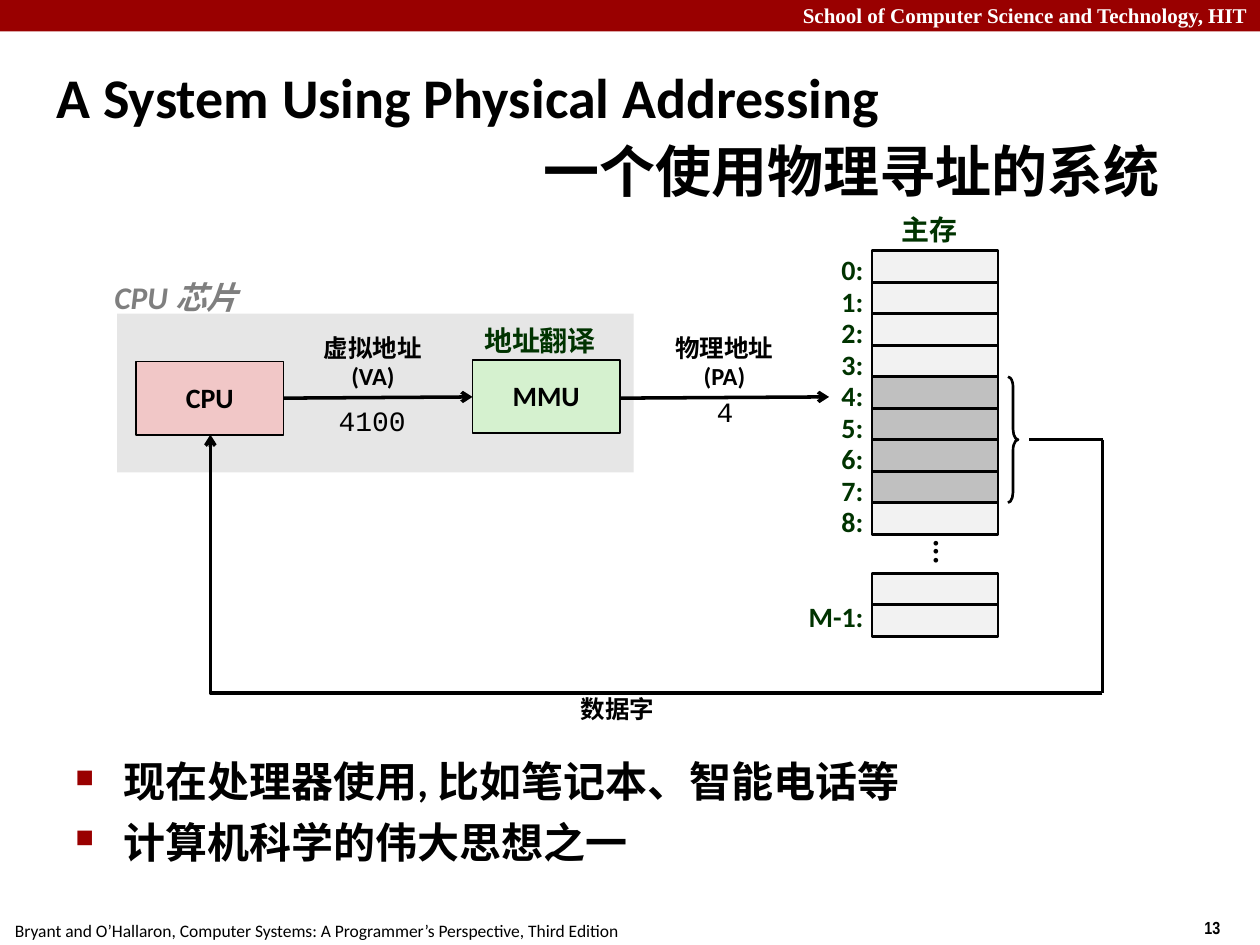
from dataclasses import dataclass

from lxml.etree import SubElement
from pptx import Presentation
from pptx.dml.color import RGBColor
from pptx.enum.shapes import MSO_CONNECTOR as CONN, MSO_SHAPE as SHAPE
from pptx.enum.text import MSO_ANCHOR as ANCHOR, MSO_AUTO_SIZE as FIT, PP_ALIGN as ALIGN
from pptx.oxml.ns import qn
from pptx.util import Inches, Pt

BLACK = RGBColor(0x00, 0x00, 0x00)
WHITE = RGBColor(0xFF, 0xFF, 0xFF)
RED = RGBColor(0x99, 0x00, 0x00)
DARK_GREEN = RGBColor(0x00, 0x33, 0x00)
GRAY = RGBColor(0x7F, 0x7F, 0x7F)
CHIP_GRAY = RGBColor(0xE6, 0xE6, 0xE6)
CELL_LIGHT = RGBColor(0xF2, 0xF2, 0xF2)
CELL_DARK = RGBColor(0xC0, 0xC0, 0xC0)
PINK = RGBColor(0xF1, 0xC7, 0xC7)
LIGHT_GREEN = RGBColor(0xD5, 0xF1, 0xCF)


@dataclass
class Label:
    text: str
    x: float
    y: float
    w: float
    h: float
    size: float = 16
    color: RGBColor = DARK_GREEN
    font: str = "Calibri"
    bold: bool = True
    italic: bool = False
    align: ALIGN = ALIGN.LEFT
    anchor: ANCHOR = ANCHOR.TOP
    spacing: float = 1.0
    wrap: bool = False


@dataclass
class Wire:
    x1: float
    y1: float
    x2: float
    y2: float
    arrow: bool = False
    bent: bool = False


def format_text(tf, lb: Label) -> None:
    tf.text = lb.text
    tf.word_wrap = lb.wrap
    tf.vertical_anchor = lb.anchor
    for p in tf.paragraphs:
        p.alignment = lb.align
        p.line_spacing = lb.spacing
        for r in p.runs:
            r.font.size = Pt(lb.size)
            r.font.name = lb.font
            r.font.bold = lb.bold
            r.font.italic = lb.italic
            r.font.color.rgb = lb.color


def add_label(slide, lb: Label):
    sp = slide.shapes.add_textbox(Inches(lb.x), Inches(lb.y), Inches(lb.w), Inches(lb.h))
    format_text(sp.text_frame, lb)
    if not lb.wrap:
        sp.text_frame.auto_size = FIT.SHAPE_TO_FIT_TEXT
    return sp


def add_box(slide, x: float, y: float, w: float, h: float, fill: RGBColor, line: float = 0):
    sp = slide.shapes.add_shape(SHAPE.RECTANGLE, Inches(x), Inches(y), Inches(w), Inches(h))
    sp.shadow.inherit = False
    sp.fill.solid()
    sp.fill.fore_color.rgb = fill
    if line:
        sp.line.color.rgb = BLACK
        sp.line.width = Pt(line)
    else:
        sp.line.fill.background()
    return sp


def add_unit(slide, name: str, x: float, y: float, fill: RGBColor) -> None:
    sp = add_box(slide, x, y, 1.17, 0.58, fill, 1)
    format_text(sp.text_frame, Label(name, x, y, 1.17, 0.58, color=BLACK, align=ALIGN.CENTER,
                                     anchor=ANCHOR.MIDDLE, spacing=0.98))


def add_wire(slide, wire: Wire) -> None:
    kind = CONN.ELBOW if wire.bent else CONN.STRAIGHT
    cn = slide.shapes.add_connector(kind, Inches(wire.x1), Inches(wire.y1),
                                    Inches(wire.x2), Inches(wire.y2))
    cn.line.color.rgb = BLACK
    cn.line.width = Pt(2)
    sp_pr = cn._element.spPr
    if wire.bent:
        sp_pr.find(qn("a:prstGeom")).set("prst", "bentConnector2")
    if wire.arrow:
        SubElement(sp_pr.find(qn("a:ln")), qn("a:tailEnd"), type="arrow")
    SubElement(sp_pr, qn("a:effectLst"))


def set_indent(p, left: float, first: float) -> None:
    p_pr = p._p.get_or_add_pPr()
    p_pr.set("marL", str(Inches(left)))
    p_pr.set("indent", str(Inches(first)))


def add_bullet(p, color: RGBColor) -> None:
    p_pr = p._p.get_or_add_pPr()
    SubElement(SubElement(p_pr, qn("a:buClr")), qn("a:srgbClr"), val=str(color))
    SubElement(p_pr, qn("a:buSzPct"), val="60000")
    SubElement(p_pr, qn("a:buChar"), char="■")


def add_memory(slide) -> None:
    x, top, step = 6.92, 1.99, 0.25
    for i in range(9):
        y = top + i * step
        add_box(slide, x, y, 1, step, CELL_DARK if 4 <= i <= 7 else CELL_LIGHT, 1.5)
        add_label(slide, Label(f"{i}:", 6.58, y, 0.37, 0.33, spacing=0.88))
    for y in (4.55, 4.8):
        add_box(slide, x, y, 1, step, CELL_LIGHT, 1.5)
    add_label(slide, Label("M-1:", 6.32, 4.74, 0.67, 0.33, spacing=0.88))

    # Vertical dots between the two blocks of cells
    dots = add_label(slide, Label("...", 7, 4.18, 1, 0.25, 18, BLACK, align=ALIGN.CENTER,
                                  anchor=ANCHOR.MIDDLE, spacing=0.98))
    tf = dots.text_frame
    tf.auto_size = FIT.NONE
    tf.margin_left = tf.margin_right = Inches(0.05)
    tf.margin_top = tf.margin_bottom = Inches(0.1)
    tf._txBody.bodyPr.set("vert", "eaVert")

    # Brace around the data word
    brace = slide.shapes.add_shape(SHAPE.RIGHT_BRACE, Inches(8), Inches(2.99),
                                   Inches(0.08), Inches(1))
    brace.adjustments[0] = 1.04
    brace.shadow.inherit = False
    brace.fill.background()
    brace.line.color.rgb = BLACK
    brace.line.width = Pt(1.5)


def main() -> None:
    prs = Presentation()
    prs.slide_width, prs.slide_height = Inches(10), Inches(7.5)
    slide = prs.slides.add_slide(prs.slide_layouts[5])

    # Header and footer
    add_box(slide, 0, 0, 10, 0.25, RED)
    add_label(slide, Label("School of Computer Science and Technology, HIT", 0, -0.03, 10, 0.3, 12,
                           WHITE, "Times New Roman", align=ALIGN.RIGHT, wrap=True))
    add_label(slide, Label("Bryant and O’Hallaron, Computer Systems: A Programmer’s Perspective, "
                           "Third Edition", 0.02, 7.25, 5.01, 0.27, 10, BLACK, bold=False))
    add_label(slide, Label("13", 9.46, 7.23, 0.75, 0.27, 10, BLACK, "Arial Narrow"))

    # Title
    title = slide.shapes.title
    title.left, title.top = Inches(0.35), Inches(0.36)
    title.width, title.height = Inches(9.53), Inches(1.34)
    format_text(title.text_frame, Label(
        "A System Using Physical Addressing\n一个使用物理寻址的系统", 0.35, 0.36, 9.53, 1.34, 32,
        BLACK, anchor=ANCHOR.MIDDLE, spacing=1.1, wrap=True))
    title.text_frame.auto_size = FIT.NONE
    for p, left in zip(title.text_frame.paragraphs, (0, 3.86)):
        set_indent(p, left, 0)
        p.space_before = Pt(0)

    # Chip, memory and wires
    add_box(slide, 0.93, 2.49, 4.1, 1.26, CHIP_GRAY)
    add_memory(slide)
    add_unit(slide, "MMU", 3.75, 2.86, LIGHT_GREEN)
    add_unit(slide, "CPU", 1.08, 2.87, PINK)
    for wire in (
        Wire(2.25, 3.16, 3.75, 3.15, arrow=True),
        Wire(4.92, 3.16, 6.58, 3.15, arrow=True),
        Wire(8.17, 3.49, 8.75, 3.49),
        Wire(8.75, 3.49, 8.75, 5.5),
        Wire(8.75, 5.5, 1.67, 3.45, arrow=True, bent=True),
    ):
        add_wire(slide, wire)

    # Diagram labels
    heading = dict(align=ALIGN.CENTER, spacing=0.88)
    signal = dict(size=14, color=BLACK, align=ALIGN.CENTER, anchor=ANCHOR.MIDDLE, spacing=0.98)
    value = dict(color=BLACK, font="Courier New", bold=False)
    for lb in (
        Label("主存", 7.06, 1.67, 0.64, 0.33, **heading),
        Label("地址翻译", 3.74, 2.55, 1.09, 0.33, **heading),
        Label("虚拟地址\n(VA)", 2.47, 2.6, 0.98, 0.56, **signal),
        Label("物理地址\n(PA)", 5.26, 2.6, 0.98, 0.56, **signal),
        Label("数据字", 4.48, 5.47, 0.84, 0.33, **signal),
        Label("4100", 2.59, 3.15, 0.73, 0.37, **value),
        Label("4", 5.59, 3.08, 0.33, 0.37, **value),
        Label("CPU 芯片", 0.81, 2.16, 1.24, 0.4, 18, GRAY, italic=True),
    ):
        add_label(slide, lb)

    # Bullets
    body = add_label(slide, Label("现在处理器使用, 比如笔记本、智能电话等\n计算机科学的伟大思想之一",
                                  0.5, 5.95, 9.09, 1.38, 24, BLACK, wrap=True))
    for i, p in enumerate(body.text_frame.paragraphs):
        p.space_before = Pt(6 if i else 0)
        set_indent(p, 0.38, -0.38)
        add_bullet(p, RED)

    prs.save("out.pptx")


if __name__ == "__main__":
    main()
